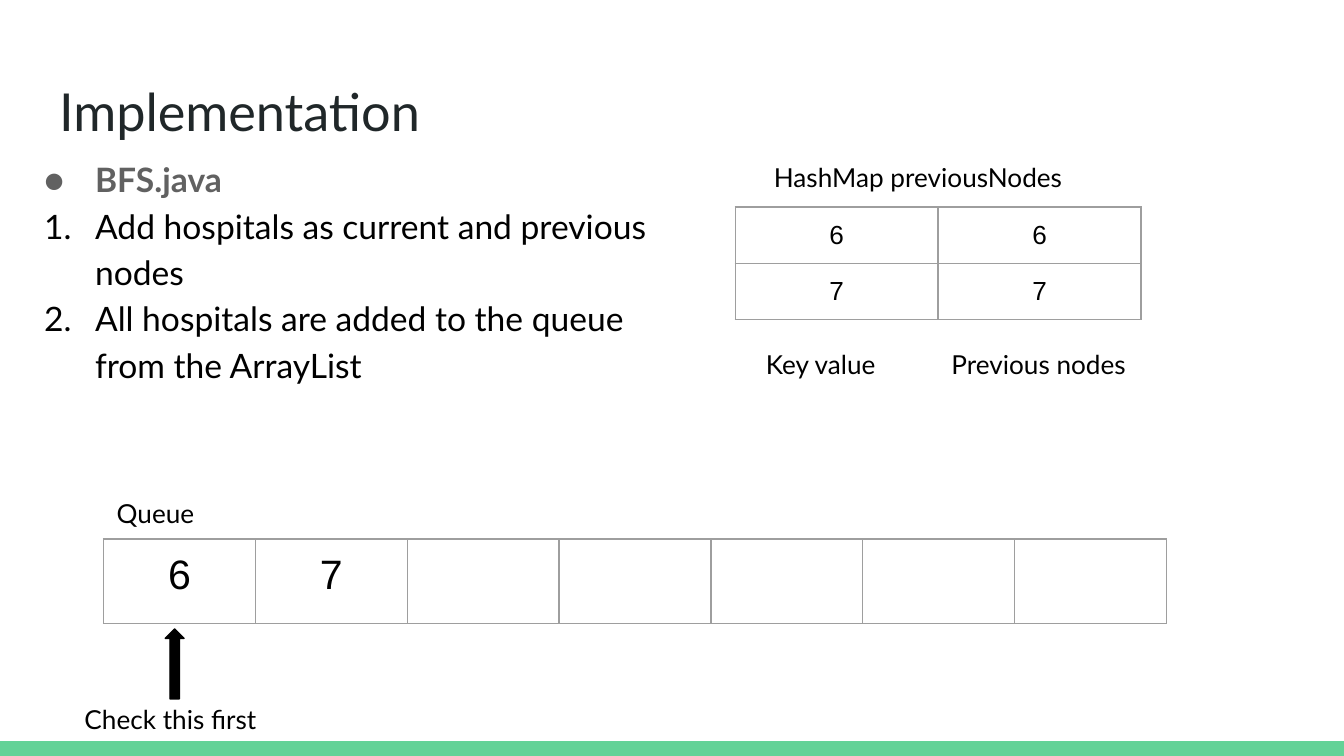
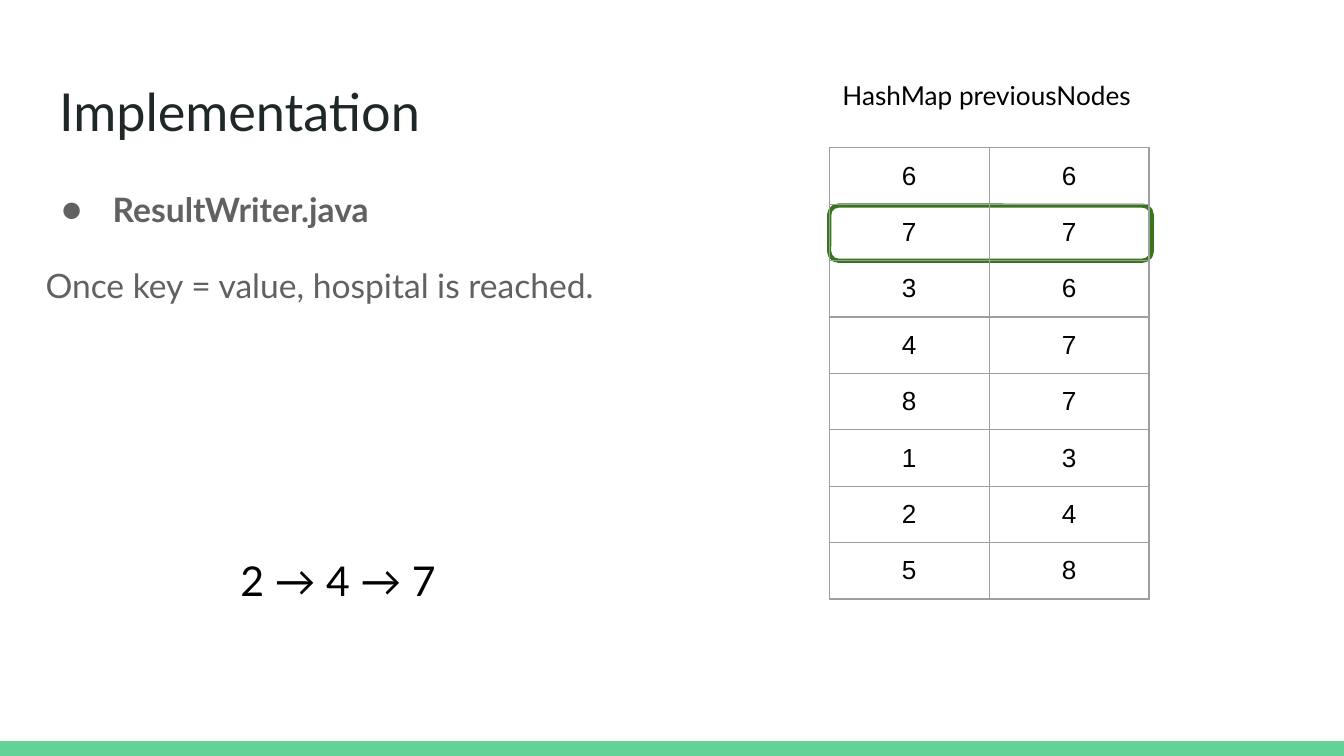
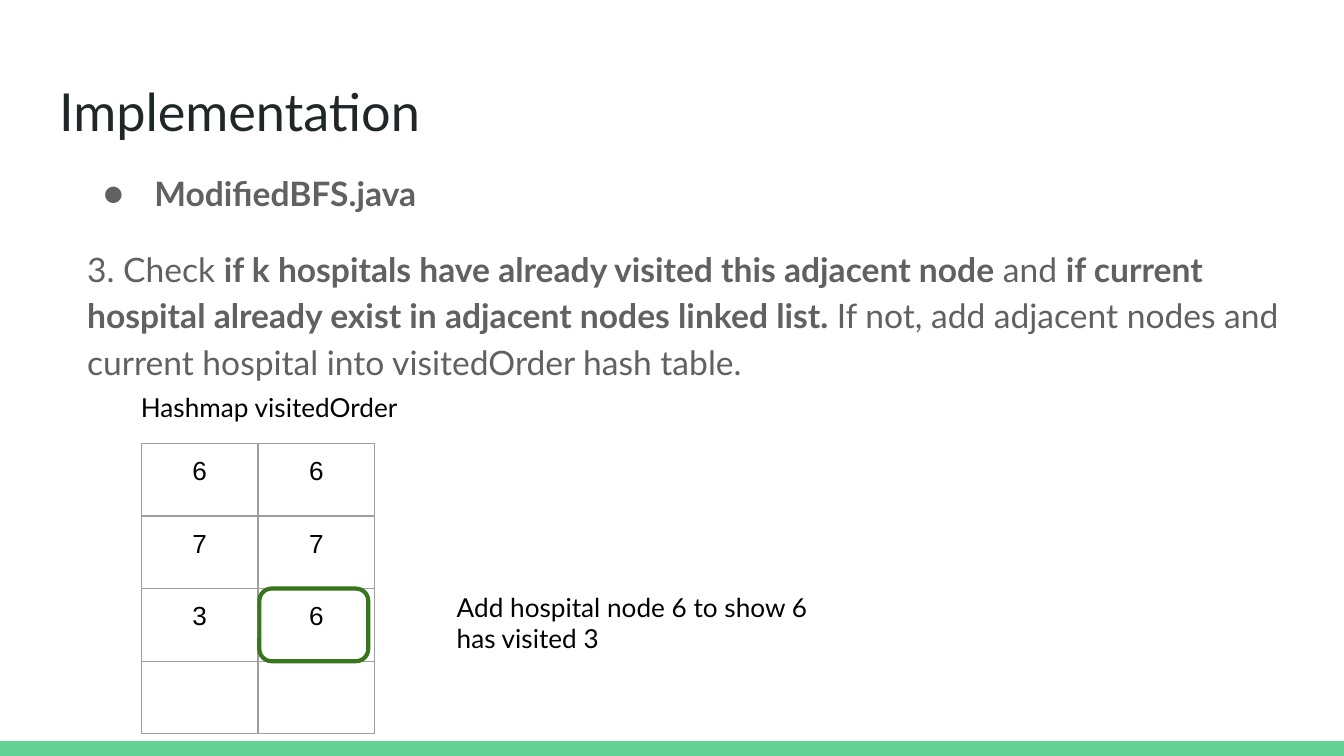
import lxml.etree
import pptx
import pptx.dml.color
import pptx.enum.shapes
import pptx.enum.text
import pptx.oxml.ns
import pptx.util

Inches = pptx.util.Inches
Pt = pptx.util.Pt
RGBColor = pptx.dml.color.RGBColor
SHAPE = pptx.enum.shapes.MSO_SHAPE
TEXT = pptx.enum.text
qn = pptx.oxml.ns.qn

WHITE = RGBColor(0xFF, 0xFF, 0xFF)
BLACK = RGBColor(0x00, 0x00, 0x00)
INK = RGBColor(0x20, 0x27, 0x29)
GRAY = RGBColor(0x61, 0x61, 0x61)
RULE = RGBColor(0x9E, 0x9E, 0x9E)
MINT = RGBColor(0x63, 0xD2, 0x97)
GREEN = RGBColor(0x38, 0x76, 0x1D)

FONT = "Lato"
CELL_FONT = "Arial"
PAD = 0.1
WIDE = 10
HIGH = WIDE * 9 / 16
BAND = 0.11


def place(left, top, width, height):
    return Inches(left), Inches(top), Inches(width), Inches(height)


def style(run, size, color, font=FONT, bold=False):
    run.font.size = Pt(size)
    run.font.name = font
    run.font.color.rgb = color
    run.font.bold = bold


def set_frame(frame):
    frame.word_wrap = True
    frame.auto_size = TEXT.MSO_AUTO_SIZE.NONE
    frame.vertical_anchor = TEXT.MSO_ANCHOR.TOP
    frame.margin_left = frame.margin_right = Inches(PAD)
    frame.margin_top = frame.margin_bottom = Inches(PAD)


def add_box(slide, left, top, width, height):
    box = slide.shapes.add_textbox(*place(left, top, width, height))
    set_frame(box.text_frame)
    return box.text_frame


def add_label(slide, text, left, top, width, height, size=14):
    frame = add_box(slide, left, top, width, height)
    frame.text = text
    style(frame.paragraphs[0].runs[0], size, BLACK)


def add_form(slide, kind, left, top, width, height, fill=None, line=None, weight=0.75):
    form = slide.shapes.add_shape(kind, *place(left, top, width, height))
    form.shadow.inherit = False
    if fill is None:
        form.fill.background()
    else:
        form.fill.solid()
        form.fill.fore_color.rgb = fill
    if line is None:
        form.line.fill.background()
    else:
        form.line.color.rgb = line
        form.line.width = Pt(weight)


def add_ring(slide, left, top, width, height):
    add_form(slide, SHAPE.ROUNDED_RECTANGLE, left, top, width, height, line=GREEN, weight=2.25)


def set_mark(para, mark, color):
    props = para._p.get_or_add_pPr()
    props.set("marL", str(Inches(0.5)))
    props.set("indent", str(-Inches(0.38)))
    tint = lxml.etree.SubElement(props, qn("a:buClr"))
    lxml.etree.SubElement(tint, qn("a:srgbClr"), val=str(color))
    lxml.etree.SubElement(props, qn("a:buFont"), typeface=FONT)
    if mark == "1.":
        lxml.etree.SubElement(props, qn("a:buAutoNum"), type="arabicPeriod")
    else:
        lxml.etree.SubElement(props, qn("a:buChar"), char=mark)


def add_para(frame, parts, color=GRAY, mark=None):
    first = frame.paragraphs[0]
    para = frame.add_paragraph() if first.runs else first
    para.line_spacing = 1.15
    if mark:
        set_mark(para, mark, color)
    else:
        para.space_before = para.space_after = Pt(16)
    for text, bold in parts:
        run = para.add_run()
        run.text = text
        style(run, 18, color, bold=bold)


def add_body(slide, name, left, top, width, height):
    frame = add_box(slide, left, top, width, height)
    add_para(frame, [(name, True)], mark="●")
    return frame


def set_edges(cell):
    props = cell._tc.get_or_add_tcPr()
    for spot, side in enumerate(("L", "R", "T", "B")):
        edge = lxml.etree.Element(qn("a:ln" + side), w=str(Pt(0.75)))
        fill = lxml.etree.SubElement(edge, qn("a:solidFill"))
        lxml.etree.SubElement(fill, qn("a:srgbClr"), val=str(RULE))
        props.insert(spot, edge)


def add_grid(slide, rows, left, top, col, row, size=14):
    count = len(rows[0])
    area = place(left, top, col * count, row * len(rows))
    table = slide.shapes.add_table(len(rows), count, *area).table
    table.first_row = table.horz_banding = False
    for line in table.rows:
        line.height = Inches(row)
    for line in table.columns:
        line.width = Inches(col)
    for y, texts in enumerate(rows):
        for x, text in enumerate(texts):
            cell = table.cell(y, x)
            cell.fill.background()
            set_edges(cell)
            cell.margin_left = cell.margin_right = Inches(PAD)
            cell.margin_top = cell.margin_bottom = Inches(PAD)
            if text:
                cell.text_frame.text = text
                para = cell.text_frame.paragraphs[0]
                para.alignment = TEXT.PP_ALIGN.CENTER
                style(para.runs[0], size, BLACK, CELL_FONT)


def add_slide(deck, width):
    slide = deck.slides.add_slide(deck.slide_layouts[5])
    slide.background.fill.solid()
    slide.background.fill.fore_color.rgb = WHITE
    add_form(slide, SHAPE.RECTANGLE, 0, HIGH - BAND, WIDE, BAND, fill=MINT)
    title = slide.shapes.title
    title.left, title.top, title.width, title.height = place(0.34, 0.49, width, 0.63)
    set_frame(title.text_frame)
    title.text_frame.text = "Implementation"
    para = title.text_frame.paragraphs[0]
    para.alignment = TEXT.PP_ALIGN.LEFT
    style(para.runs[0], 28, INK)
    return slide


def add_queue(deck):
    slide = add_slide(deck, 3.48)
    body = add_body(slide, "BFS.java", 0.11, 1.04, 4.83, 2.3)
    for step in (
        "Add hospitals as current and previous nodes",
        "All hospitals are added to the queue from the ArrayList",
    ):
        add_para(body, [(step, False)], BLACK, "1.")
    add_grid(slide, [["6", "7"] + [""] * 5], 0.77, 4.01, 1.13, 0.63, 22)
    add_label(slide, "Queue", 0.77, 3.6, 2.45, 0.31)
    add_form(slide, SHAPE.UP_ARROW, 1.23, 4.68, 0.14, 0.52, BLACK, BLACK)
    add_label(slide, "Check this first", 0.53, 5.13, 1.95, 0.39)
    add_label(slide, "HashMap previousNodes", 5.66, 1.1, 2.83, 0.5)
    add_label(slide, "Key value", 5.6, 2.49, 1.12, 0.4)
    add_label(slide, "Previous nodes", 6.98, 2.49, 1.72, 0.31)
    add_grid(slide, ["66", "77"], 5.47, 1.54, 1.51, 0.42)


def add_result(deck):
    slide = add_slide(deck, 2.99)
    body = add_body(slide, "ResultWriter.java", 0.24, 1.26, 5.52, 0.44)
    add_para(body, [("Once key = value, hospital is reached.", False)])
    add_label(slide, "HashMap previousNodes", 6.17, 0.49, 3.06, 0.5)
    add_ring(slide, 6.17, 1.53, 2.4, 0.41)
    pairs = ["66", "77", "36", "47", "87", "13", "24", "58"]
    add_grid(slide, pairs, 6.17, 1.1, 1.19, 0.42)
    add_label(slide, "2 → 4 → 7", 1.69, 4.03, 3.8, 0.5, 22)


def add_visit(deck):
    slide = add_slide(deck, 9.32)
    body = add_body(slide, "ModifiedBFS.java", 0.55, 1.14, 9.32, 1.76)
    add_para(body, [
        ("3. Check ", False),
        ("if k hospitals have already visited this adjacent node", True),
        (" and ", False),
        ("if current hospital already exist in adjacent nodes linked list. ", True),
        ("If not, add adjacent nodes and current hospital into visitedOrder hash table.", False),
    ])
    add_grid(slide, ["66", "77", "36", ["", ""]], 1.05, 3.3, 0.87, 0.54)
    add_label(slide, "Hashmap visitedOrder", 0.95, 2.81, 3.62, 0.39)
    add_ring(slide, 1.93, 4.38, 0.81, 0.54)
    add_label(slide, "Add hospital node 6 to show 6 has visited 3", 3.3, 4.3, 2.89, 0.54)


def main():
    deck = pptx.Presentation()
    deck.slide_width = Inches(WIDE)
    deck.slide_height = Inches(HIGH)
    add_queue(deck)
    add_result(deck)
    add_visit(deck)
    deck.save("out.pptx")


if __name__ == "__main__":
    main()
